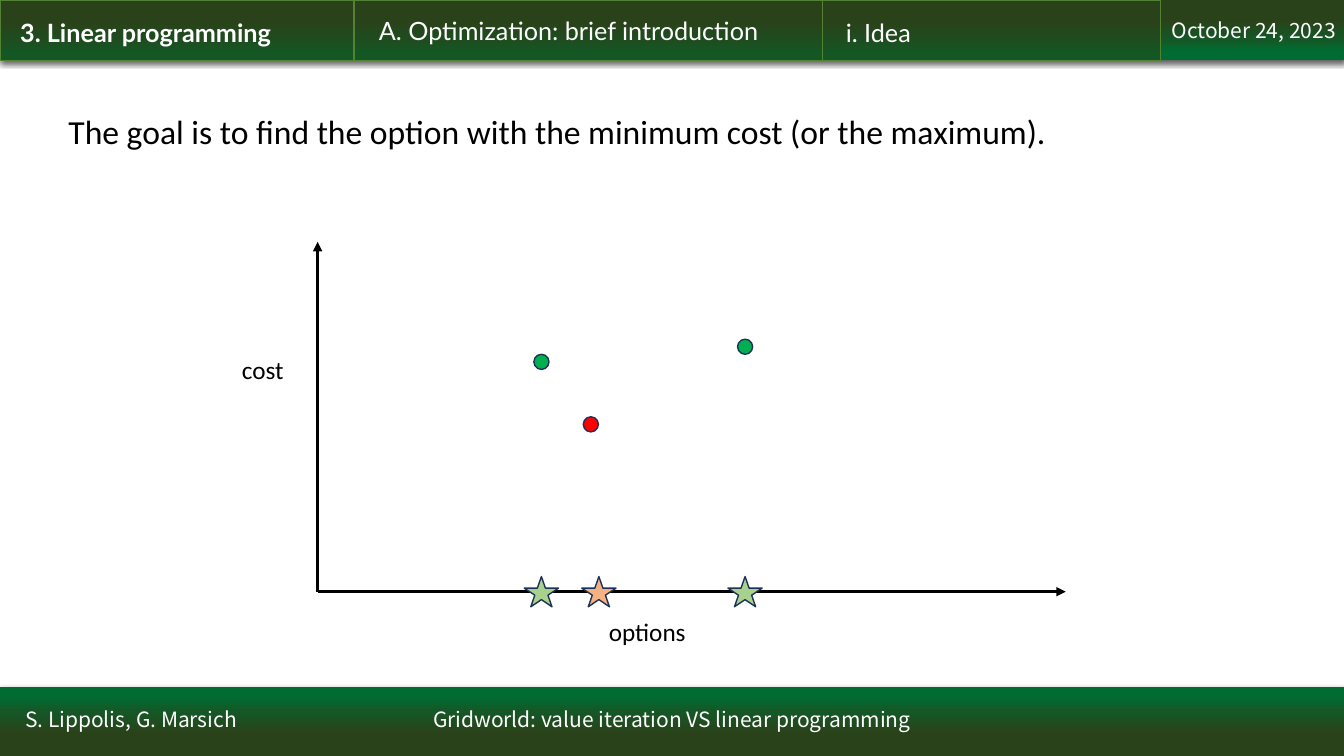
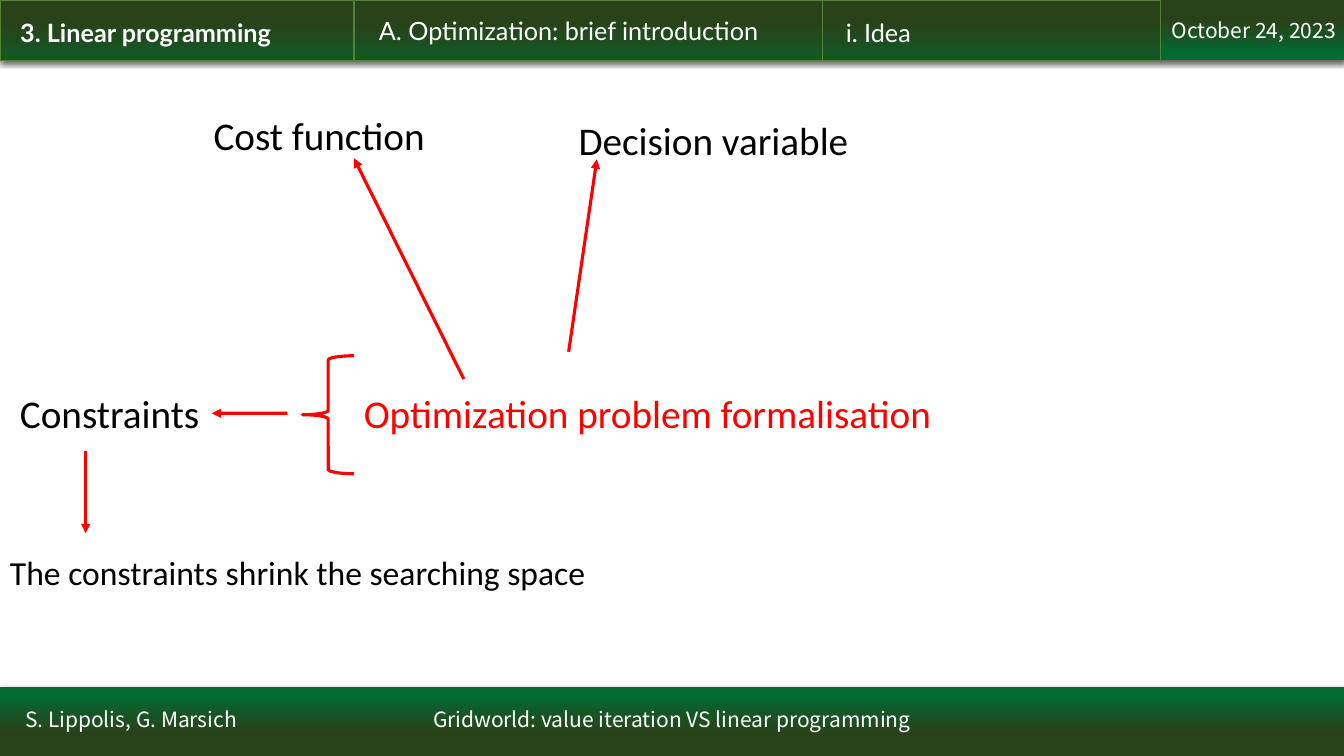
from dataclasses import dataclass

from lxml.etree import SubElement
from pptx import Presentation
from pptx.dml.color import RGBColor
from pptx.enum.shapes import MSO_CONNECTOR, MSO_SHAPE
from pptx.enum.text import MSO_ANCHOR, MSO_AUTO_SIZE, PP_ALIGN
from pptx.oxml.ns import qn
from pptx.util import Inches, Pt


@dataclass(frozen=True)
class Theme:
    # Colours
    white: str = "FFFFFF"
    black: str = "000000"
    red: str = "FF0000"
    green: str = "00B050"
    light_green: str = "A9D18E"
    light_orange: str = "F4B183"
    marker_line: str = "1E3256"
    tab: str = "2A421A"
    tab_line: str = "548235"
    band_stops: tuple = ((14, "006C31"), (35, "155726"), (68, "2A421A"))
    # Fonts and type sizes
    body_font: str = "Calibri"
    tab_font: str = "Lato"
    footer_font: str = "Noto Sans CJK JP"
    footer_size: int = 15
    small: int = 18
    medium: int = 24
    large: int = 28
    # Line widths
    thin: float = 1
    thick: float = 2.25


THEME = Theme()
PAGE_WIDTH = 13.33
PAGE_HEIGHT = 7.5
BAND_HEIGHT = 0.6
FOOTER_TOP = 6.82


def rgb(colour):
    return RGBColor.from_string(colour)


def inches(*lengths):
    return [Inches(length) for length in lengths]


def add_child(parent, tag, **attributes):
    """Append a DrawingML element."""
    return SubElement(parent, qn(tag), {name: str(value) for name, value in attributes.items()})


# Text
def write(box, text, size, font, colour, bold=False, align=PP_ALIGN.LEFT, spacing=None, wrap=True):
    frame = box.text_frame
    frame.word_wrap = wrap
    frame.auto_size = MSO_AUTO_SIZE.NONE
    frame.vertical_anchor = MSO_ANCHOR.TOP
    para = frame.paragraphs[0]
    para.text = text
    para.alignment = align
    if spacing:
        para.line_spacing = spacing
    para.font.size = Pt(size)
    para.font.name = font
    para.font.bold = bold
    para.font.color.rgb = rgb(colour)


def add_text(page, place, text, size, font=THEME.body_font, colour=THEME.black, **style):
    box = page.shapes.add_textbox(*inches(*place))
    write(box, text, size, font, colour, **style)
    return box


def add_label(page, place, text, size):
    return add_text(page, place, text, size, wrap=False)


# Shapes and lines
def add_shape(page, preset, place, fill=None, line=None, weight=THEME.thin):
    shape = page.shapes.add_shape(preset, *inches(*place))
    shape.shadow.inherit = False
    if fill:
        shape.fill.solid()
        shape.fill.fore_color.rgb = rgb(fill)
    else:
        shape.fill.background()
    if line:
        shape.line.color.rgb = rgb(line)
        shape.line.width = Pt(weight)
    else:
        shape.line.fill.background()
    return shape


def add_arrow(page, start, end, colour):
    arrow = page.shapes.add_connector(MSO_CONNECTOR.STRAIGHT, *inches(*start, *end))
    arrow.line.color.rgb = rgb(colour)
    arrow.line.width = Pt(THEME.thick)
    properties = arrow.element.spPr
    add_child(properties.find(qn("a:ln")), "a:tailEnd", type="triangle")
    add_child(properties, "a:effectLst")
    return arrow


def add_marker(page, preset, centre, size, fill):
    (x, y), (width, height) = centre, size
    place = (x - width / 2, y - height / 2, width, height)
    add_shape(page, preset, place, fill, THEME.marker_line)


# Shared header and footer
def add_band(page, top, height, angle):
    band = add_shape(page, MSO_SHAPE.RECTANGLE, (0, top, PAGE_WIDTH, height))
    band.fill.gradient()
    band.fill.gradient_angle = angle
    properties = band.element.spPr
    stops = properties.find(qn("a:gradFill")).find(qn("a:gsLst"))
    for stop in list(stops):
        stops.remove(stop)
    for position, colour in THEME.band_stops:
        stop = add_child(stops, "a:gs", pos=position * 1000)
        add_child(stop, "a:srgbClr", val=colour)
    shadow = add_child(properties.find(qn("a:effectLst")), "a:outerShdw",
                       blurRad=Pt(4.5), dist=Pt(1.5), dir=90 * 60000, rotWithShape=0)
    tint = add_child(shadow, "a:srgbClr", val=THEME.black)
    add_child(tint, "a:alpha", val=63000)


def add_tab(page, left, width):
    tab = add_shape(page, MSO_SHAPE.RECTANGLE, (left, 0, width, BAND_HEIGHT),
                    THEME.tab, THEME.tab_line)
    tint = tab.element.spPr.find(qn("a:solidFill")).find(qn("a:srgbClr"))
    add_child(tint, "a:alpha", val=50000)


def place_title(page, text):
    title = page.shapes.title
    title.left, title.top, title.width, title.height = inches(0.1, 0.12, 3.22, 0.4)
    write(title, text, THEME.small, THEME.tab_font, THEME.white, bold=True)
    # Bring the title in front of the header band
    title.element.getparent().append(title.element)


def add_page(deck):
    page = deck.slides.add_slide(deck.slide_layouts[5])
    footer = {"size": THEME.footer_size, "font": THEME.footer_font, "colour": THEME.white}
    tab_text = {"size": THEME.small, "font": THEME.tab_font, "colour": THEME.white}

    # Header
    add_band(page, 0, BAND_HEIGHT, 90)
    for left, width in ((0, 3.51), (3.51, 4.65), (8.16, 3.35)):
        add_tab(page, left, width)
    place_title(page, "3. Linear programming")
    add_text(page, (3.66, 0.1, 4.33, 0.4), "A. Optimization: brief introduction", **tab_text)
    add_text(page, (8.29, 0.12, 3.05, 0.4), "i. Idea", **tab_text)
    add_text(page, (11.52, 0.12, 2.21, 0.61), "October 24, 2023", **footer)

    # Footer
    add_band(page, FOOTER_TOP, PAGE_HEIGHT - FOOTER_TOP, 270)
    add_text(page, (0, 6.99, PAGE_WIDTH, 0.5), "Gridworld: value iteration VS linear programming",
             align=PP_ALIGN.CENTER, spacing=0.9, **footer)
    add_text(page, (0.15, 6.99, 4, 0.5), "S. Lippolis, G. Marsich", spacing=0.9, **footer)
    return page


# Slides
def add_goal_page(deck):
    page = add_page(deck)
    add_text(page, (0.58, 1.05, 11.59, 0.5),
             "The goal is to find the option with the minimum cost (or the maximum).", THEME.medium)

    # Axes
    origin = (3.15, 5.87)
    for axis_end in ((3.15, 2.4), (10.57, 5.87)):
        add_arrow(page, origin, axis_end, THEME.black)
    add_label(page, (2.3, 3.47, 0.62, 0.4), "cost", THEME.small)
    add_label(page, (5.94, 6.07, 0.97, 0.4), "options", THEME.small)

    # Each option is a star on the axis, its cost a dot above
    options = (
        (5.37, THEME.light_green, (5.37, 3.59), THEME.green),
        (5.94, THEME.light_orange, (5.86, 4.21), THEME.red),
        (7.39, THEME.light_green, (7.39, 3.44), THEME.green),
    )
    for star_x, star_fill, dot_centre, dot_fill in options:
        add_marker(page, MSO_SHAPE.STAR_5_POINT, (star_x, origin[1]), (0.34, 0.3), star_fill)
        add_marker(page, MSO_SHAPE.OVAL, dot_centre, (0.15, 0.15), dot_fill)


def add_formalisation_page(deck):
    page = add_page(deck)

    # Problem and its parts
    add_text(page, (3.51, 3.81, 6.29, 0.58), "Optimization problem formalisation",
             THEME.large, colour=THEME.red)
    add_label(page, (2.02, 1.05, 2.32, 0.58), "Cost function", THEME.large)
    add_label(page, (5.64, 1.1, 2.9, 0.58), "Decision variable", THEME.large)
    constraints = add_label(page, (0.1, 3.81, 2, 0.58), "Constraints", THEME.large)
    add_label(page, (0, 5.43, 6.11, 0.5), "The constraints shrink the searching space", THEME.medium)

    # Brace and arrows
    add_shape(page, MSO_SHAPE.LEFT_BRACE, (3, 3.53, 0.51, 1.17),
              line=THEME.red, weight=THEME.thick)
    for start, end in (
        ((4.6, 3.76), (3.51, 1.57)),
        ((5.64, 3.49), (5.92, 1.58)),
        ((0.85, 4.47), (0.85, 5.29)),
    ):
        add_arrow(page, start, end, THEME.red)
    to_constraints = add_arrow(page, (2.85, 4.1), (2.1, 4.1), THEME.red)
    to_constraints.end_connect(constraints, 3)


def main():
    deck = Presentation()
    deck.slide_width, deck.slide_height = inches(PAGE_WIDTH, PAGE_HEIGHT)
    add_goal_page(deck)
    add_formalisation_page(deck)
    deck.save("out.pptx")


if __name__ == "__main__":
    main()
